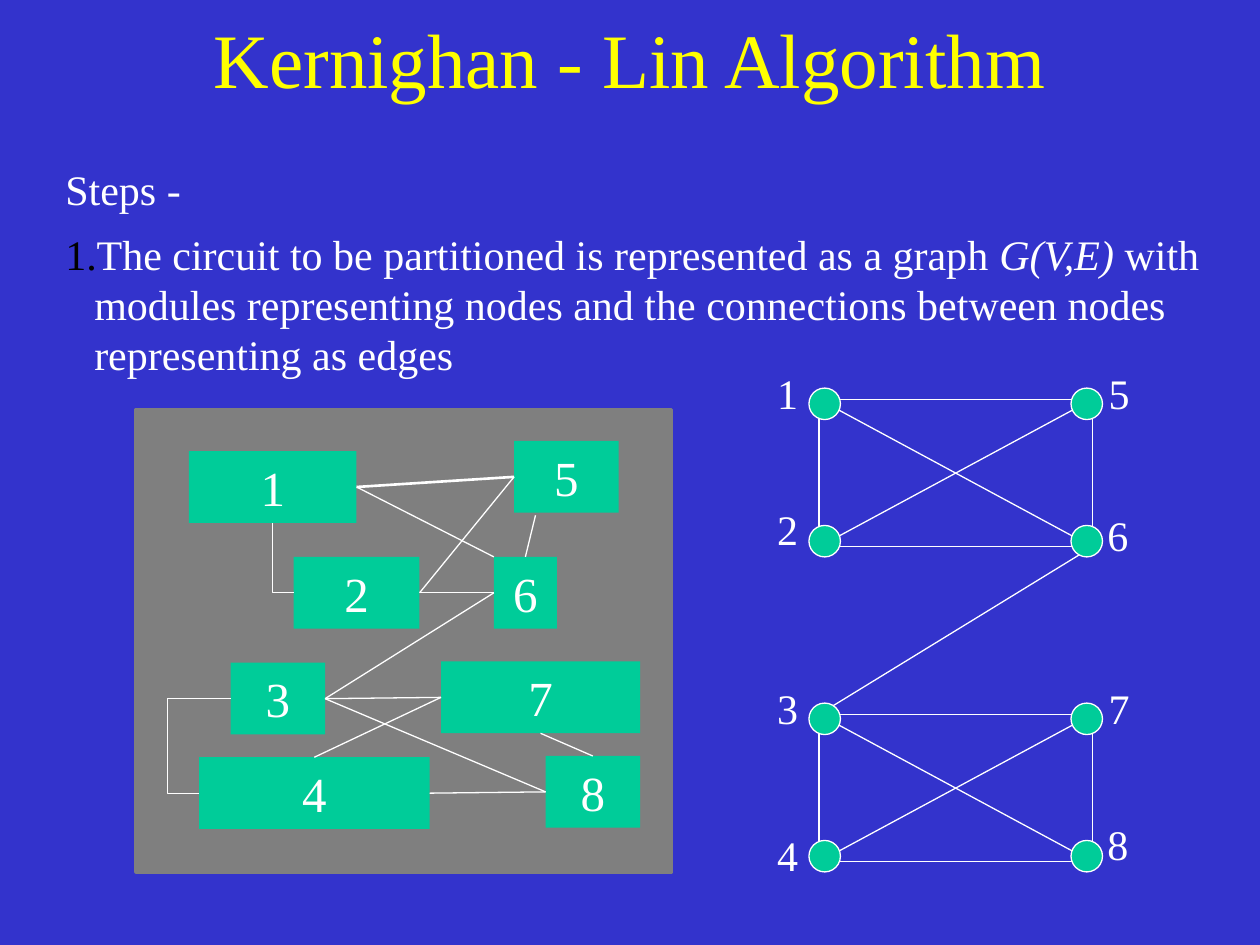
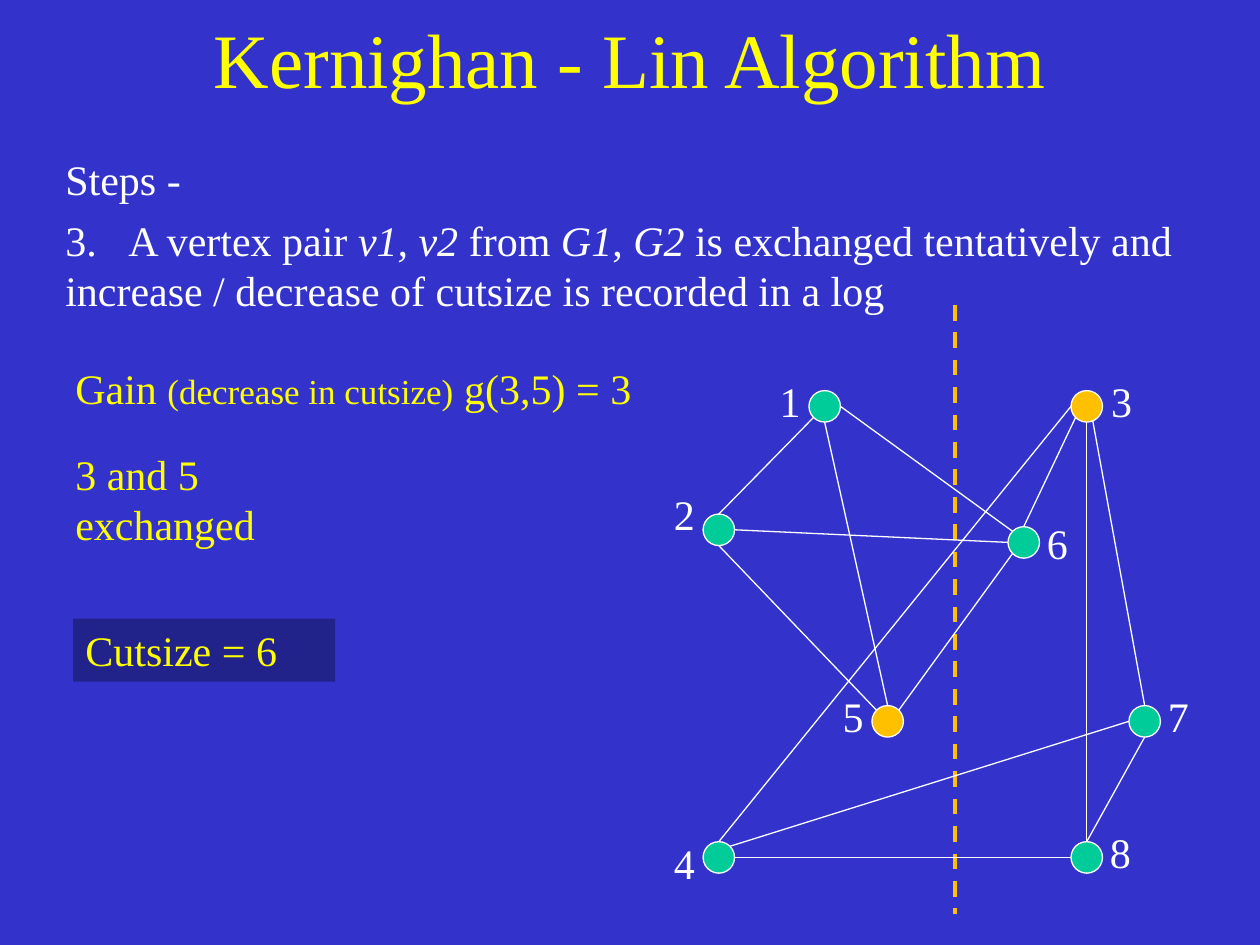
from math import cos, radians, sin

from lxml.etree import SubElement
from pptx import Presentation
from pptx.dml.color import RGBColor
from pptx.enum.dml import MSO_LINE
from pptx.enum.shapes import MSO_CONNECTOR as Link, MSO_SHAPE as Shape
from pptx.enum.text import MSO_ANCHOR as Anchor, PP_ALIGN as Align
from pptx.oxml.ns import qn
from pptx.util import Inches, Pt

# Shared style
COLORS = {"back": "3333CC", "title": "FFFF00", "text": "FFFFFF", "line": "FFFFFF",
          "node": "00CC99", "swapped": "FFC000", "board": "7F7F7F",
          "result": "22228B", "number": "000000"}
FONT = "Times New Roman"
TITLE = "Kernighan - Lin Algorithm"
NODE = 0.25
BLOCK_HEIGHT = 0.57
TOP, LEFT, BOTTOM, RIGHT = range(4)
COMPASS = "n nne ne ene e ese se sse s ssw sw wsw w wnw nw nnw".split()

# Slide 1: steps; a run is its text and the font settings that differ
GRAPH_STEPS = [
    [("Steps -", {})],
    [("The circuit to be partitioned is represented as a graph ", {}),
     ("G(V,E) ", {"italic": True}),
     ("with modules representing nodes and the connections between nodes "
      "representing as edges", {})],
]

# Slide 1: graph with two fully connected halves
GRAPH_LEFT, GRAPH_WIDTH, GRAPH_HEIGHT = 6.5, 2.17, 1.17
GRAPH_TOPS = [3.17, 5.67]
GRAPH_LABELS = {"1": (6.07, 2.87), "2": (6.07, 3.95), "3": (6.07, 5.37), "4": (6.07, 6.53),
                "5": (8.7, 2.87), "6": (8.69, 3.99), "7": (8.7, 5.37), "8": (8.69, 6.45)}

# Slide 1: circuit blocks as left, top, width
BOARD = (1.08, 3.25, 4.25, 3.67)
BLOCKS = {"1": (1.5, 3.58, 1.33), "2": (2.33, 4.42, 1), "3": (1.83, 5.26, 0.75),
          "4": (1.58, 6.01, 1.83), "5": (4.08, 3.5, 0.83), "6": (3.92, 4.42, 0.5),
          "7": (3.5, 5.25, 1.58), "8": (4.33, 6, 0.75)}
# Each end is a block and its side, or a plain point
WIRES = [
    (("1", RIGHT), ("5", LEFT), 1.5),
    (("1", RIGHT), (3.92, 4.42), 0.75),
    (("2", RIGHT), ("5", LEFT), 0.75),
    (("2", RIGHT), ("6", LEFT), 0.75),
    (("3", RIGHT), ("6", LEFT), 0.75),
    (("3", RIGHT), ("7", LEFT), 0.75),
    (("3", RIGHT), ("8", LEFT), 0.75),
    (("4", RIGHT), ("8", LEFT), 0.75),
    ((4.25, 4.09), ("6", TOP), 0.75),
    (("7", BOTTOM), ("8", TOP), 0.75),
    (("4", TOP), ("7", LEFT), 0.75),
]

# Slide 2: steps and results
SWAP_STEPS = [
    [("Steps -", {})],
    [("3.\tA vertex pair ", {}), ("v1, v2", {"italic": True}), (" from ", {}),
     ("G1", {"italic": True}), (", ", {}), ("G2", {"italic": True}),
     (" is exchanged tentatively and increase / decrease of cutsize is recorded in a log", {})],
]
GAIN = [[("Gain ", {}), ("(decrease in cutsize)", {"size": Pt(20)}), (" g(3,5) = 3", {})]]
EXCHANGED = [[("3 and 5 exchanged", {})]]
CUTSIZE = [[("Cutsize = 6", {})]]

# Slide 2: node corner, label corner, colour
SWAP_NODES = {
    "1": ((6.42, 3.1), (6.09, 2.93), "node"),
    "2": ((5.58, 4.08), (5.25, 3.83), "node"),
    "3": ((8.5, 3.1), (8.72, 2.93), "swapped"),
    "4": ((5.58, 6.68), (5.25, 6.6), "node"),
    "5": ((6.92, 5.6), (6.59, 5.43), "swapped"),
    "6": ((8, 4.18), (8.21, 4.06), "node"),
    "7": ((8.96, 5.6), (9.17, 5.43), "node"),
    "8": ((8.5, 6.68), (8.71, 6.51), "node"),
}
SWAP_EDGES = ["1 sw 2 n", "2 s 5 nw", "3 sw 6 n", "3 sse 7 n", "7 s 8 n", "3 s 8 n",
              "1 s 5 n", "1 e 6 nw", "2 e 6 w", "4 n 3 w", "4 ne 7 w", "4 e 8 w", "5 ne 6 sw"]


def color(name):
    return RGBColor.from_string(COLORS[name])


def write(frame, paragraphs, size=24, ink="text", align=Align.LEFT, anchor=Anchor.TOP, gap=0):
    frame.word_wrap = True
    frame.vertical_anchor = anchor
    for index, runs in enumerate(paragraphs):
        para = frame.add_paragraph() if index else frame.paragraphs[0]
        props = para._p.get_or_add_pPr()
        if index and gap:
            para.space_before = Pt(gap)
        if any("\t" in text for text, _ in runs):
            stops = SubElement(props, qn("a:tabLst"))
            SubElement(stops, qn("a:tab"), pos=str(Inches(0.5)), algn="l")
        para.alignment = align
        para.font.name, para.font.size = FONT, Pt(size)
        para.font.color.rgb = color(ink)
        for text, changes in runs:
            span = para.add_run()
            span.text = text
            for key, value in changes.items():
                setattr(span.font, key, value)


def number_paragraph(para, hang):
    """Number a paragraph automatically, with a hanging indent."""
    props = para._p.get_or_add_pPr()
    props.set("marL", str(Inches(hang)))
    props.set("indent", str(-Inches(hang)))
    fill = props.makeelement(qn("a:buClr"))
    SubElement(fill, qn("a:srgbClr"), val=COLORS["number"])
    number = props.makeelement(qn("a:buAutoNum"), type="arabicPeriod")
    defaults = props.find(qn("a:defRPr"))
    defaults.addprevious(fill)
    defaults.addprevious(number)


def add_text(page, at, paragraphs, **style):
    box = page.shapes.add_textbox(*map(Inches, at))
    write(box.text_frame, paragraphs, **style)
    return box


def add_label(page, corner, text):
    box = add_text(page, (*corner, 0.36, 0.5), [[(text, {})]], anchor=Anchor.MIDDLE)
    box.text_frame.word_wrap = False


def add_shape(page, kind, at, fill=None, line=None, width=0.75):
    shape = page.shapes.add_shape(kind, *map(Inches, at))
    shape.shadow.inherit = False
    if fill:
        shape.fill.solid()
        shape.fill.fore_color.rgb = color(fill)
    else:
        shape.fill.background()
    if line:
        shape.line.color.rgb = color(line)
        shape.line.width = Pt(width)
    else:
        shape.line.fill.background()
    return shape


def add_node(page, corner, fill="node"):
    add_shape(page, Shape.OVAL, (*corner, NODE, NODE), fill, "line")


def add_line(page, start, end, ink="line", width=0.75, kind=Link.STRAIGHT):
    line = page.shapes.add_connector(kind, *map(Inches, (*start, *end)))
    line.line.color.rgb = color(ink)
    line.line.width = Pt(width)
    SubElement(line._element.spPr, qn("a:effectLst"))
    return line


def add_wire(page, blocks, start, end, width=0.75, kind=Link.STRAIGHT):
    """Join two ends, each a block side or a plain point."""
    points = [(0, 0) if end_[0] in blocks else end_ for end_ in (start, end)]
    wire = add_line(page, *points, width=width, kind=kind)
    for (place, side), join in ((start, wire.begin_connect), (end, wire.end_connect)):
        if place in blocks:
            join(blocks[place], side)
    return wire


def add_page(deck):
    page = deck.slides.add_slide(deck.slide_layouts[6])
    add_text(page, (0, 0, 10, 0.92), [[(TITLE, {})]], size=44, ink="title",
             align=Align.CENTER, anchor=Anchor.MIDDLE)
    return page


def draw_graph(page):
    right = GRAPH_LEFT + GRAPH_WIDTH
    for top in GRAPH_TOPS:
        bottom = top + GRAPH_HEIGHT
        add_shape(page, Shape.RECTANGLE, (GRAPH_LEFT, top, GRAPH_WIDTH, GRAPH_HEIGHT),
                  line="line")
        add_line(page, (GRAPH_LEFT, top), (right, bottom))
        add_line(page, (right, top), (GRAPH_LEFT, bottom))
    add_line(page, (right, GRAPH_TOPS[0] + GRAPH_HEIGHT), (GRAPH_LEFT, GRAPH_TOPS[1]))
    for top in GRAPH_TOPS:
        for left in (6.42, 8.5):
            for drop in (-0.09, 1):
                add_node(page, (left, top + drop))
    for name, corner in GRAPH_LABELS.items():
        add_label(page, corner, name)


def draw_circuit(page):
    add_shape(page, Shape.RECTANGLE, BOARD, "board", "board", 2)
    blocks = {}
    for name, (left, top, width) in BLOCKS.items():
        blocks[name] = add_shape(page, Shape.RECTANGLE, (left, top, width, BLOCK_HEIGHT), "node")
        write(blocks[name].text_frame, [[(name, {})]], size=28, align=Align.CENTER)
    for start, end, width in WIRES:
        add_wire(page, blocks, start, end, width)
    # One bend from block 2 up to block 1
    corner = add_wire(page, blocks, ("2", LEFT), ("1", BOTTOM), kind=Link.ELBOW)
    corner._element.spPr.find(qn("a:prstGeom")).set("prst", "bentConnector2")
    # A loop around the left side of blocks 3 and 4
    loop = add_wire(page, blocks, ("3", LEFT), ("4", LEFT), kind=Link.ELBOW)
    guides = loop._element.spPr.find(qn("a:prstGeom")).find(qn("a:avLst"))
    SubElement(guides, qn("a:gd"), name="adj1", fmla="val 200000")


def rim_point(name, direction):
    """Point on a node's rim in a compass direction."""
    left, top = SWAP_NODES[name][0]
    angle = radians(22.5 * COMPASS.index(direction))
    radius = NODE / 2
    return left + radius + radius * sin(angle), top + radius - radius * cos(angle)


def draw_swap(page):
    for name, (corner, label, fill) in SWAP_NODES.items():
        add_node(page, corner, fill)
        add_label(page, label, name)
    cut = add_line(page, (7.58, 2.42), (7.58, 7.25), "swapped", 2.25)
    cut.line.dash_style = MSO_LINE.DASH
    for edge in SWAP_EDGES:
        first, leave, second, arrive = edge.split()
        add_line(page, rim_point(first, leave), rim_point(second, arrive))


def main():
    deck = Presentation()
    deck.slide_width, deck.slide_height = Inches(10), Inches(7.5)
    back = deck.slide_master.background.fill
    back.solid()
    back.fore_color.rgb = color("back")

    # Slide 1: circuit as a graph
    page = add_page(deck)
    steps = add_text(page, (0.42, 1.25, 9.33, 1.83), GRAPH_STEPS, gap=8)
    number_paragraph(steps.text_frame.paragraphs[1], 0.23)
    draw_graph(page)
    draw_circuit(page)

    # Slide 2: tentative exchange
    page = add_page(deck)
    draw_swap(page)
    add_text(page, (0.42, 1.17, 9, 1.33), SWAP_STEPS, gap=6)
    add_text(page, (0.5, 3.51, 2.33, 0.9), EXCHANGED, ink="title")
    result = add_shape(page, Shape.RECTANGLE, (0.58, 4.91, 2.08, 0.5), "result")
    write(result.text_frame, CUTSIZE, ink="title")
    add_text(page, (0.5, 2.83, 5.5, 0.5), GAIN, ink="title")

    deck.save("out.pptx")


if __name__ == "__main__":
    main()
